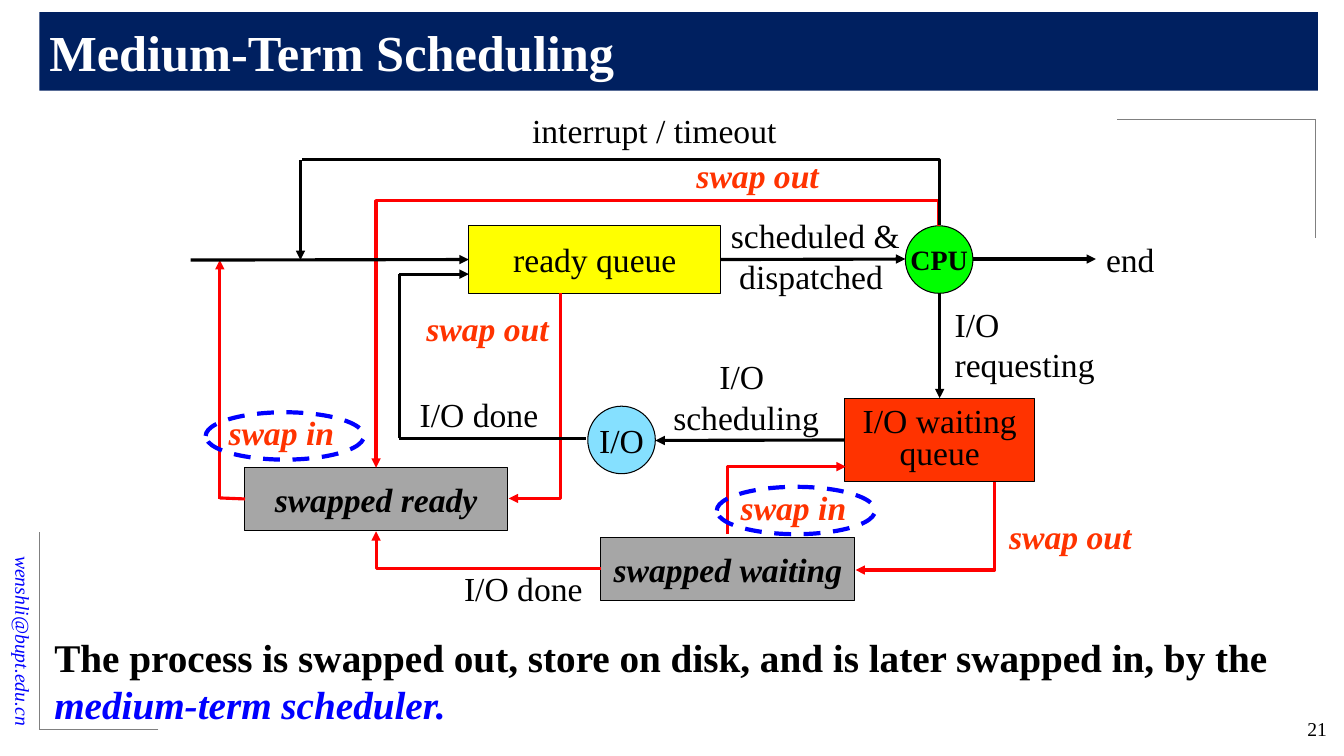
"""Build the medium-term scheduling slide: a queueing diagram with swap paths."""
import pptx
import pptx.dml.color
import pptx.enum.dml
import pptx.enum.shapes
import pptx.enum.text
import pptx.oxml.ns
import pptx.util
from lxml import etree

PX = 9144
COLORS = {
    "navy": "002060", "white": "FFFFFF", "black": "000000", "gray": "808080",
    "silver": "A6A6A6", "yellow": "FFFF00", "orange": "FF3300", "sky": "85E0FF",
    "green": "00FF00", "red": "FF0000", "blue": "0000FF",
}
COLORS = {name: pptx.dml.color.RGBColor.from_string(code) for name, code in COLORS.items()}
SHAPE = pptx.enum.shapes.MSO_SHAPE
CONNECTOR = pptx.enum.shapes.MSO_CONNECTOR
ALIGN = pptx.enum.text.PP_ALIGN
ANCHOR = pptx.enum.text.MSO_ANCHOR
qn = pptx.oxml.ns.qn

deck = pptx.Presentation()
deck.slide_width, deck.slide_height = 1333 * PX, 750 * PX
page = deck.slides.add_slide(deck.slide_layouts[6])


def write(box, text, size=24, color="black", bold=False, italic=False,
          align=ALIGN.CENTER, anchor=ANCHOR.MIDDLE, wrap=False, spacing=None):
    """Fill a box with one paragraph per line of text and return the last one."""
    frame = box.text_frame
    frame.word_wrap = wrap
    frame.vertical_anchor = anchor
    for index, line in enumerate(text.split("\n")):
        para = frame.add_paragraph() if index else frame.paragraphs[0]
        para.alignment = align
        para.line_spacing = spacing
        span = para.add_run()
        span.text = line
        span.font.name = "Times New Roman"
        span.font.size = pptx.util.Pt(size)
        span.font.bold, span.font.italic = bold, italic
        span.font.color.rgb = COLORS[color]
    return para


def connect(kind, ends, color, width=2.25, arrow=True):
    """Draw a connector between two points given as x1, y1, x2, y2."""
    link = page.shapes.add_connector(kind, *(value * PX for value in ends))
    link.line.color.rgb = COLORS[color]
    link.line.width = pptx.util.Pt(width)
    if arrow:
        etree.SubElement(link.line._get_or_add_ln(), qn("a:tailEnd"), type="triangle")
    etree.SubElement(link._element.spPr, qn("a:effectLst"))
    return link


for ends in [(39, 528, 39, 724), (157, 724, 39, 724),
             (1305, 118, 1305, 236), (1305, 118, 1108, 118)]:
    connect(CONNECTOR.STRAIGHT, ends, "gray", width=0.5, arrow=False)

slanted = {"bold": True, "italic": True}
nodes = {}
for name, kind, place, fill, text, style in [
    ("title", SHAPE.RECTANGLE, (39, 12, 1268, 78), "navy", "Medium-Term Scheduling",
     {"size": 36, "color": "white", "bold": True, "align": ALIGN.LEFT}),
    ("swapped waiting", SHAPE.RECTANGLE, (596, 533, 252, 63), "silver", "swapped waiting", slanted),
    ("swapped ready", SHAPE.RECTANGLE, (243, 464, 260, 62), "silver", "swapped ready", slanted),
    ("ready", SHAPE.RECTANGLE, (465, 224, 250, 67), "yellow", "ready queue", {}),
    ("waiting", SHAPE.RECTANGLE, (838, 395, 188, 83), "orange", "I/O waiting\nqueue",
     {"spacing": 0.8}),
    ("device", SHAPE.OVAL, (583, 403, 67, 67), "sky", "I/O", {}),
    ("cpu", SHAPE.OVAL, (898, 224, 67, 67), "green", "CPU", {"size": 20, "bold": True}),
]:
    node = page.shapes.add_shape(kind, *(value * PX for value in place))
    node.shadow.inherit = False
    node.fill.solid()
    node.fill.fore_color.rgb = COLORS[fill]
    if name == "title":
        node.line.fill.background()
    else:
        node.line.color.rgb = COLORS["black"]
        node.line.width = pptx.util.Pt(0.75)
    write(node, text, **style)
    nodes[name] = node

for ends, turn, bend, color, arrow in [
    ((874, 453, 961, 591), 90, None, "red", True),
    ((428, 367, 632, 418), 90, None, "red", True),
    ((814, 555, 747, 438), 90, None, "red", True),
    ((373, 527, 596, 564), 180, None, "red", True),
    ((772, 623, 532, 65), 270, -10400, "red", True),
    ((583, 507, 648, -125), 270, None, "black", False),
]:
    elbow = connect(CONNECTOR.ELBOW, ends, color, arrow=arrow)
    elbow._element.spPr.find(qn("a:xfrm")).set("rot", str(turn * 60000))
    outline = elbow._element.spPr.find(qn("a:prstGeom"))
    if bend is None:
        outline.set("prst", "bentConnector2")
    else:
        etree.SubElement(outline.find(qn("a:avLst")), qn("a:gd"),
                         name="adj1", fmla=f"val {bend}")

for ends, color, arrow, start, finish in [
    ((218, 495, 218, 258), "red", True, None, None),
    ((218, 494, 243, 495), "red", False, None, ("swapped ready", 1)),
    ((715, 257, 898, 257), "black", True, ("ready", 3), None),
    ((189, 258, 465, 258), "black", True, None, ("ready", 1)),
    ((396, 272, 465, 272), "black", True, None, None),
    ((838, 437, 650, 437), "black", True, ("waiting", 1), None),
    ((932, 291, 932, 395), "black", True, None, ("waiting", 0)),
    ((581, 435, 396, 435), "black", False, None, None),
    ((396, 435, 396, 272), "black", False, None, None),
    ((965, 257, 1087, 257), "black", True, None, None),
    ((298, 159, 298, 258), "black", True, None, None),
]:
    link = connect(CONNECTOR.STRAIGHT, ends, color, arrow=arrow)
    if start:
        link.begin_connect(nodes[start[0]], start[1])
    if finish:
        link.end_connect(nodes[finish[0]], finish[1])

swap = {"color": "orange", **slanted}
for place, text, style in [
    ((990, 507, 143, 50), "swap out", swap),
    ((412, 300, 143, 50), "swap out", swap),
    ((680, 149, 143, 50), "swap out", swap),
    ((214, 404, 130, 50), "swap in", swap),
    ((722, 478, 130, 50), "swap in", swap),
    ((450, 558, 138, 50), "I/O done", {}),
    ((406, 386, 138, 50), "I/O done", {}),
    ((435, 104, 428, 50), "interrupt / timeout", {}),
    ((1087, 232, 68, 50), "end", {}),
    ((937, 296, 192, 91), "I/O\nrequesting", {"align": ALIGN.LEFT}),
    ((627, 348, 226, 91), "I/O \nscheduling", {"wrap": True}),
    ((701, 208, 207, 91), " scheduled &\ndispatched", {"wrap": True}),
    ((1215, 706, 111, 36), "21", {"size": 14, "align": ALIGN.RIGHT, "anchor": ANCHOR.TOP,
                                  "wrap": True}),
]:
    label = page.shapes.add_textbox(*(value * PX for value in place))
    write(label, text, **style)

address = page.shapes.add_textbox(-109 * PX, 581 * PX, 264 * PX, 34 * PX)
address.rotation = 90
write(address, "wenshli@bupt.edu.cn", size=14, color="blue", italic=True,
      align=ALIGN.RIGHT, wrap=True)

summary = page.shapes.add_textbox(44 * PX, 623 * PX, 1233 * PX, 104 * PX)
para = write(summary, "The process is swapped out, store on disk, and is later swapped in, by the ",
             size=28, bold=True, align=ALIGN.LEFT, anchor=ANCHOR.TOP, wrap=True)
span = para.add_run()
span.text = "medium-term scheduler."
span.font.name = "Times New Roman"
span.font.size = pptx.util.Pt(28)
span.font.bold = span.font.italic = True
span.font.color.rgb = COLORS["blue"]

for left, top in [(711, 483), (204, 409)]:
    ring = page.shapes.add_shape(SHAPE.OVAL, left * PX, top * PX, 157 * PX, 47 * PX)
    ring.shadow.inherit = False
    ring.fill.background()
    ring.line.color.rgb = COLORS["blue"]
    ring.line.width = pptx.util.Pt(3)
    ring.line.dash_style = pptx.enum.dml.MSO_LINE.DASH

deck.save("out.pptx")
